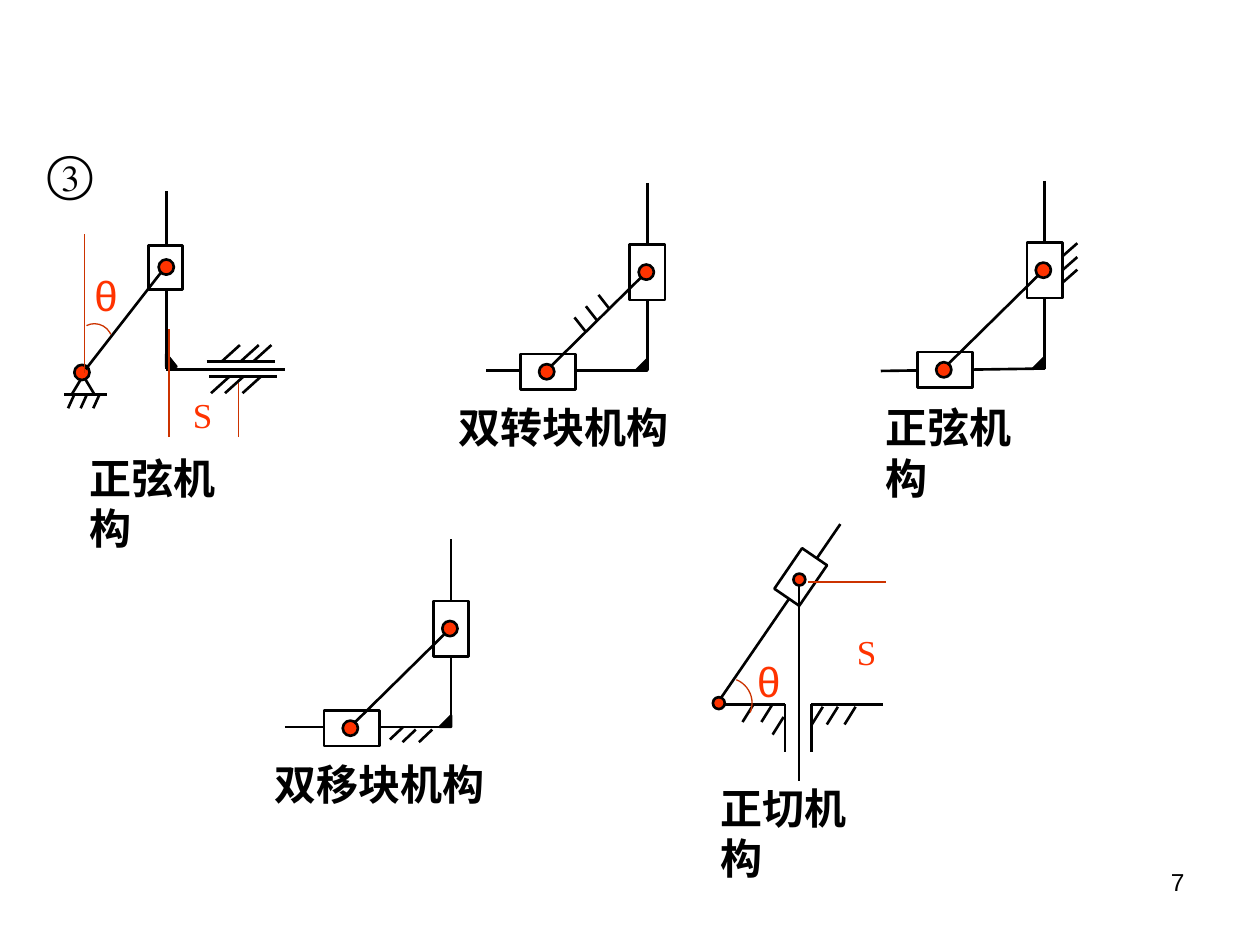
from lxml.etree import SubElement
from pptx import Presentation
from pptx.dml.color import RGBColor
from pptx.enum.shapes import MSO_CONNECTOR, MSO_SHAPE
from pptx.enum.text import MSO_AUTO_SIZE, PP_ALIGN
from pptx.oxml.ns import qn
from pptx.util import Pt

THEME = {
    "ink": "000000", "paper": "FFFFFF", "pin": "FF3300", "measure": "CC3300",
    "bar_width": 1.5, "measure_width": 0.75,
    "caption": {"size": 24, "name": "Times New Roman", "color": "000000", "bold": True},
    "angle": {"size": 24, "name": "Arial", "color": "FF3300"},
    "stroke": {"size": 20, "name": "Times New Roman", "color": "FF3300"},
    "number": {"size": 28, "name": "Times New Roman", "color": "000000"},
    "page": {"size": 14, "name": "Arial", "color": "000000"},
}

SINE = [
    ("support", 41, 214.6, 13, 10.8),
    ("bar", 36.7, 225.4, 61.2, 225.4),
    ("hatch", [(42.5, 225.4), (49.7, 225.4), (56.9, 225.4)], -3.6, 7.9),
    ("pin", 46.8, 212.8, 8.7),
    ("bar", 95, 109.4, 95, 211),
    ("bar", 95, 211, 162.7, 211),
    ("bar", 119.5, 215.3, 158.4, 215.3),
    ("hatch", [(131, 215.3), (139, 215.3), (149, 215.3)], -10.4, 9.4),
    ("bar", 118.1, 206.6, 157, 206.6),
    ("hatch", [(126.7, 206.6), (137.5, 206.6), (144.7, 206.6)], 10.4, -9.4),
    ("corner", 95, 202.3, 5.8, 7.2),
    ("block", 85, 140.4, 19.4, 25.2),
    ("pin", 95, 152.6, 8.7),
    ("bar", 92.2, 155.5, 49, 211),
    ("measure", 96.5, 249.8, 96.5, 187.9),
    ("measure", 136.1, 249.8, 136.1, 218.9),
    ("measure", 48.2, 213.1, 48.2, 133.9),
    ("arc", 54, 195.1, 10.1, 243, 337),
]

TANGENT = [
    ("bar", 409, 403.2, 480.2, 299.5),
    ("block", 443.5, 321.1, 28.1, 17.3, 304.4),
    ("pin", 456.8, 331.2, 6.8),
    ("bar", 456.5, 334.8, 456.5, 446.4),
    ("pin", 410.8, 401.8, 6.8),
    ("bar", 414, 402.5, 448.6, 402.5),
    ("bar", 463.7, 402.5, 504.7, 402.5),
    ("bar", 448.6, 402.5, 448.6, 429.8),
    ("bar", 463.7, 402.5, 463.7, 429.8),
    ("hatch", [(430.6, 402.5), (441.4, 402.5), (447.8, 409.7),
               (470.2, 403.9), (478.8, 403.9), (488.9, 403.9)], -6.3, 10.1),
    ("arc", 415.4, 401.8, 14.4, 292, 22),
    ("measure", 461.5, 332.6, 506.2, 332.6),
]

DOUBLE_SLIDERS = [
    {"corner": (370, 211.7), "reach": 92, "drop": 0,
     "hatch": ([(342, 168.5), (334.8, 175), (328.3, 181.4)], 6.5, 8.3)},
    {"corner": (596.9, 210.6), "reach": 93.6, "drop": 1.4,
     "hatch": ([(615.6, 139), (615.6, 146.9), (615.6, 154.1)], -8.6, 7.6)},
    {"corner": (257.8, 415.4), "reach": 95, "drop": 0,
     "hatch": ([(230.4, 415.4), (237.6, 416.9), (247, 416.9)], -7.6, 7.2)},
]

LABELS = [
    ("③", "number", 27.4, 81.4, 25.9, 34.6),
    ("θ", "angle", 54, 154.1, 12.2, 29.5),
    ("S", "stroke", 110.2, 224.6, 11.5, 25.2),
    ("正弦机构", "caption", 51.1, 258.5, 95.8, 29.5),
    ("双转块机构", "caption", 262.1, 229.7, 120.2, 29.5),
    ("正弦机构", "caption", 506.2, 229.7, 95.8, 29.5),
    ("双移块机构", "caption", 157, 433.4, 120.2, 29.5),
    ("正切机构", "caption", 411.8, 447.1, 95.8, 29.5),
    ("θ", "angle", 432.7, 374.4, 12.2, 29.5),
    ("S", "stroke", 489.6, 360, 11.5, 25.2),
]

presentation = Presentation()
presentation.slide_width, presentation.slide_height = Pt(720), Pt(540)
slide = presentation.slides.add_slide(presentation.slide_layouts[6])


def color(name):
    return RGBColor.from_string(THEME[name])


def draw_line(x1, y1, x2, y2, ink="ink", width="bar_width"):
    line = slide.shapes.add_connector(MSO_CONNECTOR.STRAIGHT, Pt(x1), Pt(y1), Pt(x2), Pt(y2))
    line.line.color.rgb = color(ink)
    line.line.width = Pt(THEME[width])
    SubElement(line._element.spPr, qn("a:effectLst"))


def draw_measure(x1, y1, x2, y2):
    draw_line(x1, y1, x2, y2, "measure", "measure_width")


def draw_hatch(starts, dx, dy):
    for x, y in starts:
        draw_line(x, y, x + dx, y + dy)


def draw_shape(kind, box, fill=None, ink="ink", width="bar_width"):
    shape = slide.shapes.add_shape(kind, *map(Pt, box))
    shape.shadow.inherit = False
    if fill:
        shape.fill.solid()
        shape.fill.fore_color.rgb = color(fill)
    else:
        shape.fill.background()
    shape.line.color.rgb = color(ink)
    shape.line.width = Pt(THEME[width])
    return shape


def draw_block(left, top, width, height, rotation=0):
    draw_shape(MSO_SHAPE.RECTANGLE, (left, top, width, height), "paper").rotation = rotation


def draw_pin(x, y, size):
    draw_shape(MSO_SHAPE.OVAL, (x - size / 2, y - size / 2, size, size), "pin")


def draw_support(*box):
    draw_shape(MSO_SHAPE.ISOSCELES_TRIANGLE, box)


def draw_corner(*box, mirrored=False):
    shape = draw_shape(MSO_SHAPE.RIGHT_TRIANGLE, box, "ink")
    if mirrored:
        shape._element.spPr.xfrm.set("flipH", "1")


def draw_arc(x, y, radius, start, end):
    box = (x - radius, y - radius, 2 * radius, 2 * radius)
    arc = draw_shape(MSO_SHAPE.ARC, box, None, "measure", "measure_width")
    for index, degrees in enumerate((start, end)):
        arc.adjustments[index] = degrees * 0.6


def draw_double_slider(corner, reach, drop, hatch):
    x, y = corner
    draw_line(x, y - 107.2, x, y)
    draw_line(x - reach, y + drop, x, y)
    draw_block(x - 10.1, y - 72, 20.2, 31.7)
    draw_block(x - 72.7, y - 9.4, 31.7, 20.2)
    draw_pin(x - 57.6, y + 0.7, 8.7)
    draw_corner(x - 6.5, y - 6.5, 6.5, 6.5, mirrored=True)
    draw_hatch(*hatch)
    draw_line(x - 55.4, y - 2.2, x - 1.4, y - 55.4)
    draw_pin(x - 0.7, y - 56.2, 8.7)


def draw_text(text, style, left, top, width, height):
    shape = slide.shapes.add_textbox(Pt(left), Pt(top), Pt(width), Pt(height))
    frame = shape.text_frame
    frame_format = {"margin_left": 0, "margin_top": 0, "margin_right": 0, "margin_bottom": 0,
                    "word_wrap": False, "auto_size": MSO_AUTO_SIZE.SHAPE_TO_FIT_TEXT}
    for name, value in frame_format.items():
        setattr(frame, name, value)
    paragraph = frame.paragraphs[0]
    run = paragraph.add_run()
    run.text = text
    font_format = dict(THEME[style])
    run.font.color.rgb = RGBColor.from_string(font_format.pop("color"))
    font_format["size"] = Pt(font_format["size"])
    for name, value in font_format.items():
        setattr(run.font, name, value)
    return shape


DRAW = {"bar": draw_line, "measure": draw_measure, "hatch": draw_hatch, "block": draw_block,
        "pin": draw_pin, "support": draw_support, "corner": draw_corner, "arc": draw_arc}

for kind, *values in SINE + TANGENT:
    DRAW[kind](*values)
for slider in DOUBLE_SLIDERS:
    draw_double_slider(**slider)
for label in LABELS:
    draw_text(*label)

page_frame = draw_text("7", "page", 516.2, 491.8, 167.8, 37.4).text_frame
page_format = {"margin_left": Pt(7.2), "margin_right": Pt(7.2), "margin_top": Pt(3.6),
               "margin_bottom": Pt(3.6), "word_wrap": True, "auto_size": MSO_AUTO_SIZE.NONE}
for name, value in page_format.items():
    setattr(page_frame, name, value)
page_frame.paragraphs[0].alignment = PP_ALIGN.RIGHT

presentation.save("out.pptx")
